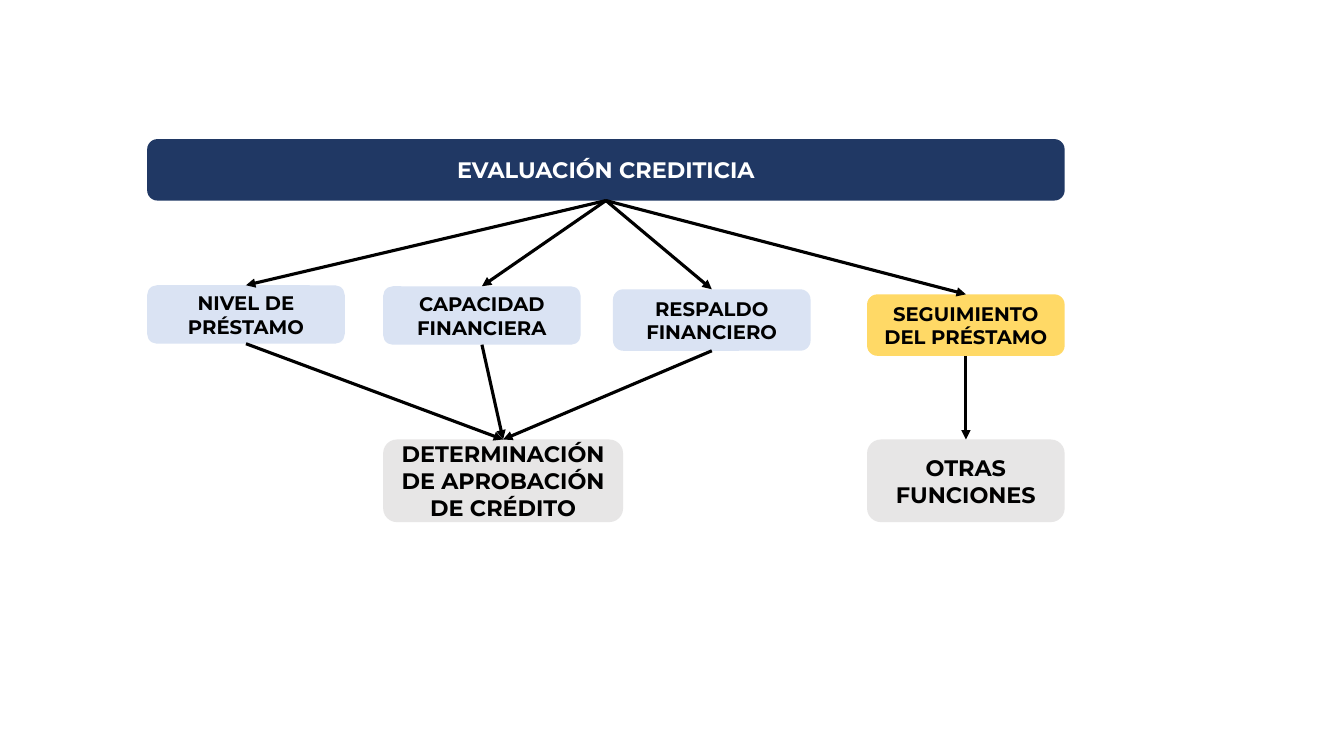
import pptx
import pptx.util
import pptx.dml.color
import pptx.enum.shapes
import pptx.enum.text
import pptx.oxml.ns
import lxml.etree
from pptx.util import Inches

RGBColor = pptx.dml.color.RGBColor
NAVY = RGBColor(0x20, 0x38, 0x64)
PALE_BLUE = RGBColor(0xDA, 0xE3, 0xF3)
YELLOW = RGBColor(0xFF, 0xD9, 0x66)
GREY = RGBColor(0xE7, 0xE6, 0xE6)
BLACK = RGBColor(0, 0, 0)
WHITE = RGBColor(0xFF, 0xFF, 0xFF)

TOP, BOTTOM = 0, 2  # connection sites of a rounded rectangle


class FlowChart:
    """Holds the chart style and the current page."""

    font_name = "Montserrat"
    line_width = pptx.util.Pt(2.25)

    def __init__(self, page):
        self.page = page

    def box(self, text, left, top, width, height, fill, size, color=BLACK):
        box = self.page.shapes.add_shape(
            pptx.enum.shapes.MSO_SHAPE.ROUNDED_RECTANGLE,
            Inches(left), Inches(top), Inches(width), Inches(height))
        box.shadow.inherit = False
        box.fill.solid()
        box.fill.fore_color.rgb = fill
        box.line.fill.background()
        frame = box.text_frame
        frame.word_wrap = True
        frame.vertical_anchor = pptx.enum.text.MSO_ANCHOR.MIDDLE
        para = frame.paragraphs[0]
        para.text = text
        para.alignment = pptx.enum.text.PP_ALIGN.CENTER
        para.font.name = self.font_name
        para.font.size = pptx.util.Pt(size)
        para.font.bold = True
        para.font.color.rgb = color
        return box

    def arrow(self, source, target):
        """Joins the bottom of one box to the top of another."""
        arrow = self.page.shapes.add_connector(
            pptx.enum.shapes.MSO_CONNECTOR.STRAIGHT, 0, 0, 0, 0)
        arrow.begin_connect(source, BOTTOM)
        arrow.end_connect(target, TOP)
        arrow.line.color.rgb = BLACK
        arrow.line.width = self.line_width
        qualify = pptx.oxml.ns.qn
        lxml.etree.SubElement(
            arrow.line._get_or_add_ln(), qualify("a:tailEnd"), type="triangle")
        lxml.etree.SubElement(
            arrow._element.spPr, qualify("a:effectLst"))
        return arrow


deck = pptx.Presentation()
deck.slide_width, deck.slide_height = Inches(13.33), Inches(7.5)
chart = FlowChart(deck.slides.add_slide(deck.slide_layouts[6]))

# Shared columns and rows
LEFT, MIDDLE, RIGHT = 1.46, 3.8, 8.6
BOX_WIDTH = 1.96
RESULT_TOP, RESULT_HEIGHT = 4.36, 0.82

# Heading bar
evaluation = chart.box("EVALUACIÓN CREDITICIA", LEFT, 1.38,
                       RIGHT + BOX_WIDTH - LEFT, 0.61, NAVY, 16, WHITE)

# Criteria and follow-up
criteria = [
    chart.box(text, left, top, BOX_WIDTH, height, PALE_BLUE, 14)
    for text, left, top, height in (
        ("NIVEL DE PRÉSTAMO", LEFT, 2.83, 0.58),
        ("CAPACIDAD FINANCIERA", MIDDLE, 2.84, 0.58),
        ("RESPALDO FINANCIERO", 6.08, 2.87, 0.61))
]
follow_up = chart.box("SEGUIMIENTO DEL PRÉSTAMO", RIGHT, 2.92,
                      BOX_WIDTH, 0.61, YELLOW, 14)

# Results
approval = chart.box("DETERMINACIÓN DE APROBACIÓN DE CRÉDITO", MIDDLE,
                     RESULT_TOP, 2.38, RESULT_HEIGHT, GREY, 16)
other_functions = chart.box("OTRAS FUNCIONES", RIGHT, RESULT_TOP,
                            BOX_WIDTH, RESULT_HEIGHT, GREY, 16)

# Arrows
for step in criteria + [follow_up]:
    chart.arrow(evaluation, step)
for criterion in criteria:
    chart.arrow(criterion, approval)
chart.arrow(follow_up, other_functions)

deck.save("out.pptx")
